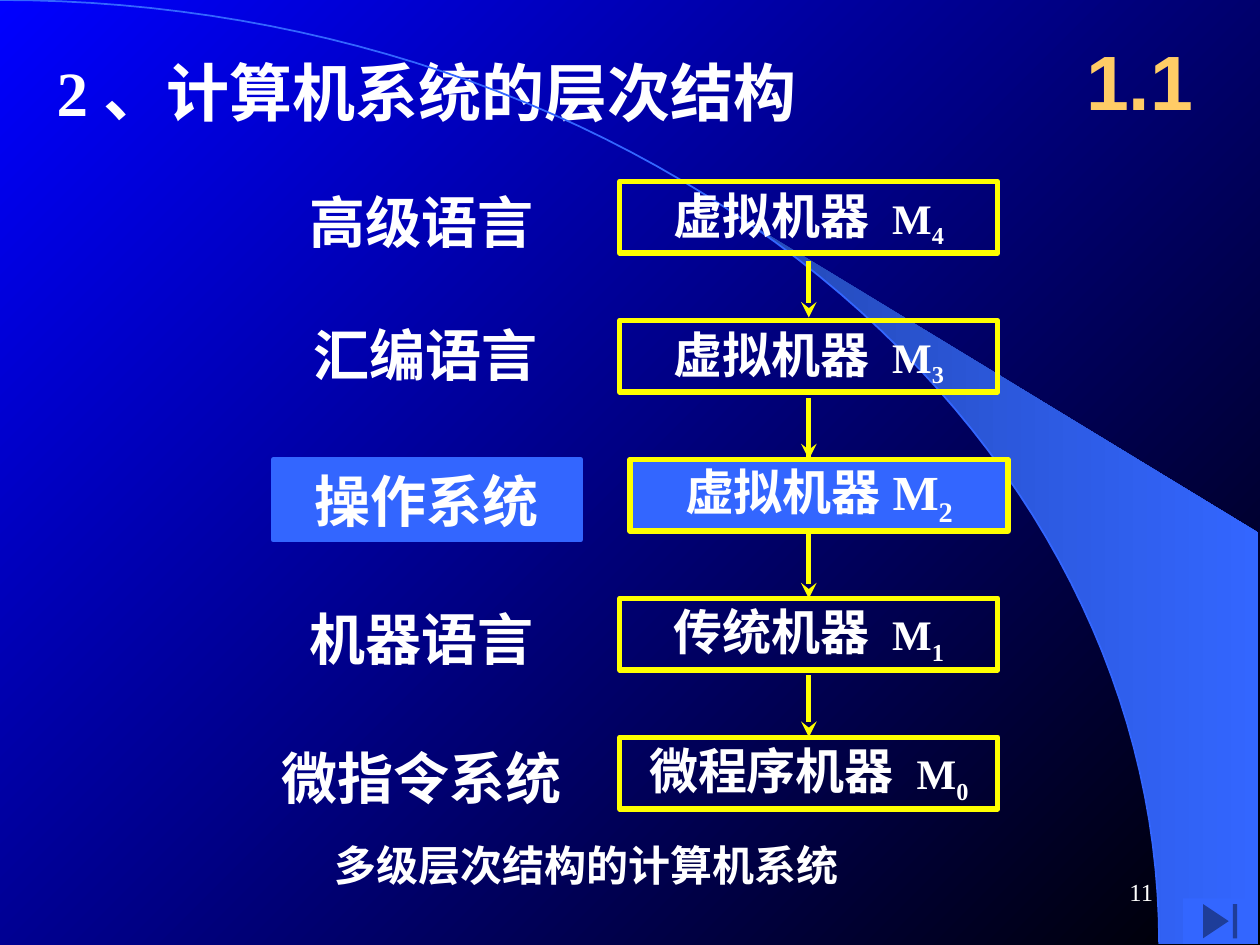
"""Build the slide on the layered structure of a computer system."""
import math
from dataclasses import dataclass

import pptx
import pptx.dml.color
import pptx.enum.shapes
import pptx.enum.text
import pptx.oxml
import pptx.oxml.ns
import pptx.util

Pt = pptx.util.Pt
ALIGN = pptx.enum.text.PP_ALIGN
ANCHOR = pptx.enum.text.MSO_ANCHOR
SHAPE = pptx.enum.shapes.MSO_SHAPE
HAN, TIMES = "Noto Sans CJK SC", "Times New Roman"
WHITE, BLUE, YELLOW = "FFFFFF", "3366FF", "FFFF00"
TOP, PITCH, MID = 103.7, 79.4, 462.2


@dataclass
class Run:
    text: str
    size: float
    font: str = TIMES
    hue: str = WHITE
    bold: bool = True
    base: int = 0


@dataclass
class Level:
    label: str
    left: float
    drop: float
    name: str
    sub: str
    size: float = 24
    lit: bool = False


LEVELS = [
    Level("高级语言", 133.2, 0, "虚拟机器 ", "4"),
    Level("汇编语言", 135.4, -3.6, "虚拟机器 ", "3"),
    Level("操作系统", 156.2, 0, "虚拟机器", "2", 28, True),
    Level("机器语言", 133.2, 0, "传统机器 ", "1"),
    Level("微指令系统", 133.2, 0, "微程序机器 ", "0"),
]
ARROWS = [(227.5, 342), (227.5, 262.5), (149, 181.5), (386, 421.2)]


def color(code: str):
    """Turn a hex string into a colour."""
    return pptx.dml.color.RGBColor.from_string(code)


def blend(fill, first: str, last: str, angle: float) -> None:
    """Set a two-stop linear gradient."""
    fill.gradient()
    fill.gradient_angle = angle
    for stop, code in zip(fill.gradient_stops, (first, last)):
        stop.color.rgb = color(code)


def paint(shape, fill: str = "", line: str = "", width: float = 3) -> None:
    """Set plain fill and line, without a shadow."""
    shape.shadow.inherit = False
    if fill:
        shape.fill.solid()
        shape.fill.fore_color.rgb = color(fill)
    else:
        shape.fill.background()
    if line:
        shape.line.color.rgb = color(line)
        shape.line.width = Pt(width)
    else:
        shape.line.fill.background()


def write(shape, runs: list[Run], align=ALIGN.CENTER, anchor=ANCHOR.MIDDLE):
    """Fill a shape with one paragraph of runs and return the paragraph."""
    frame = shape.text_frame
    frame.word_wrap = True
    frame.auto_size = pptx.enum.text.MSO_AUTO_SIZE.NONE
    frame.vertical_anchor = anchor
    para = frame.paragraphs[0]
    para.alignment = align
    for item in runs:
        run = para.add_run()
        run.text = item.text
        font = run.font
        font.size, font.bold, font.name = Pt(item.size), item.bold, item.font
        font.color.rgb = color(item.hue)
        props = run._r.get_or_add_rPr()
        east = pptx.oxml.ns.qn("a:ea")
        props.makeelement(east, {})
        pptx.oxml.parse_xml
        node = props.makeelement(east, {"typeface": HAN})
        props.find(pptx.oxml.ns.qn("a:latin")).addnext(node)
        if item.base:
            props.set("baseline", str(item.base * 1000))
    return para


def prose(shape, text: str, size: float) -> None:
    """Write a left-set line with a hanging indent."""
    para = write(shape, [Run(text, size)], ALIGN.LEFT, ANCHOR.TOP)
    para.line_spacing = 0.9
    props = para._p.get_or_add_pPr()
    props.set("marL", str(Pt(27)))
    props.set("indent", str(-Pt(27)))


def place(shapes, left: float, top: float, width: float, height: float):
    """Add a text box."""
    return shapes.add_textbox(Pt(left), Pt(top), Pt(width), Pt(height))


def block(shapes, kind, left: float, top: float, width: float, height: float):
    """Add a preset shape."""
    return shapes.add_shape(kind, Pt(left), Pt(top), Pt(width), Pt(height))


def curve(start: float, count: int = 60) -> list[tuple[float, float]]:
    """Sample the quarter ellipse from a given x to its right end."""
    wide, high = 662.4, 539.3
    first = math.asin(start / wide)
    turns = [first + (math.pi / 2 - first) * i / count for i in range(count + 1)]
    return [(wide * math.sin(t), high * (1 - math.cos(t))) for t in turns]


def trace(shapes, spots: list[tuple[float, float]], close: bool):
    """Add a freeform through the given spots."""
    dots = [(Pt(x), Pt(y)) for x, y in spots]
    form = shapes.build_freeform(*dots[0])
    form.add_line_segments(dots[1:], close=close)
    return form.convert_to_shape()


def arrow(shapes, start: float, end: float) -> None:
    """Add a downward arrow on the middle axis."""
    kind = pptx.enum.shapes.MSO_CONNECTOR.STRAIGHT
    link = shapes.add_connector(kind, Pt(MID), Pt(start), Pt(MID), Pt(end))
    link.line.color.rgb = color(YELLOW)
    link.line.width = Pt(3)
    pen = link.line._get_or_add_ln()
    pen.append(pen.makeelement(pptx.oxml.ns.qn("a:tailEnd"), {"type": "stealth"}))
    props = pen.getparent()
    props.append(props.makeelement(pptx.oxml.ns.qn("a:effectLst"), {}))


def layer(shapes, level: Level, top: float) -> None:
    """Draw one level: its language label and its machine box."""
    if level.lit:
        label = block(shapes, SHAPE.RECTANGLE, level.left, top, 175.7, 46)
        paint(label, BLUE, BLUE)
    else:
        label = place(shapes, level.left, top + level.drop, 216, 45.4)
    write(label, [Run(level.label, 32, HAN)])
    left = 360 if level.lit else 354.2
    box = block(shapes, SHAPE.RECTANGLE, left, top, 216, 41)
    paint(box, BLUE if level.lit else "", YELLOW)
    write(box, [Run(level.name, 28, HAN), Run("M", level.size),
                Run(level.sub, level.size, base=-25)])


def main() -> None:
    """Build and save the slide."""
    deck = pptx.Presentation()
    deck.slide_width, deck.slide_height = Pt(720), Pt(540)
    slide = deck.slides.add_slide(deck.slide_layouts[5])
    shapes = slide.shapes
    blend(slide.background.fill, "0000FF", "000000", 315)

    beam = trace(shapes, curve(424.1) + [(719.3, 539.3), (719.3, 304.6)], True)
    paint(beam)
    blend(beam.fill, "2449B6", BLUE, 0)
    paint(trace(shapes, curve(0), False), "", BLUE, 1)

    for start, end in ARROWS:
        arrow(shapes, start, end)
    for i, level in enumerate(LEVELS):
        layer(shapes, level, TOP + PITCH * i)

    title = shapes.title
    title.left, title.top = Pt(25.2), Pt(31.7)
    title.width, title.height = Pt(471), Pt(72)
    prose(title, "2、计算机系统的层次结构", 36)
    prose(place(shapes, 184.3, 479.5, 335, 40), "多级层次结构的计算机系统", 24)
    write(place(shapes, 606.2, 12.2, 90, 66.2), [Run("1.1", 44, "Arial", "FFCC66")])
    paint(block(shapes, SHAPE.ACTION_BUTTON_END, 676, 513.4, 42.5, 26), BLUE)
    write(place(shapes, 516.2, 491.8, 149.8, 36),
          [Run("11", 14, bold=False)], ALIGN.RIGHT)
    deck.save("out.pptx")


if __name__ == "__main__":
    main()
